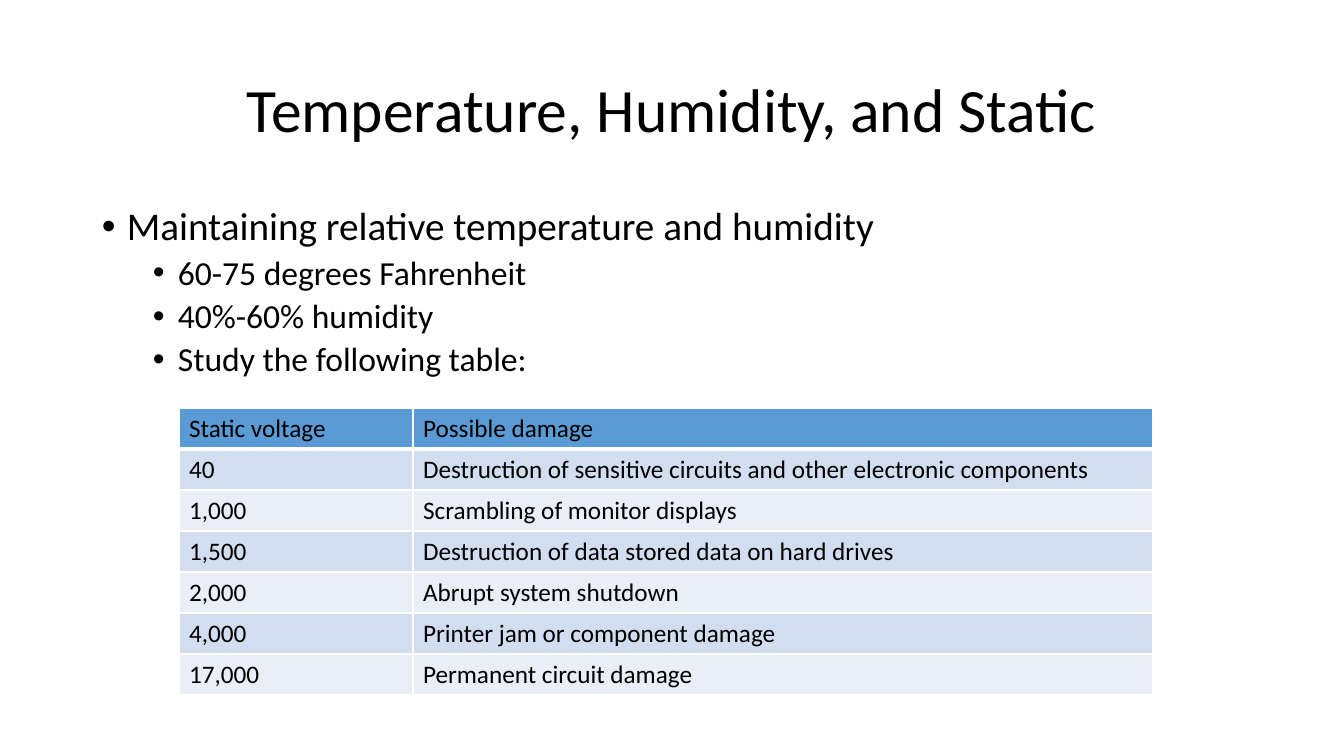
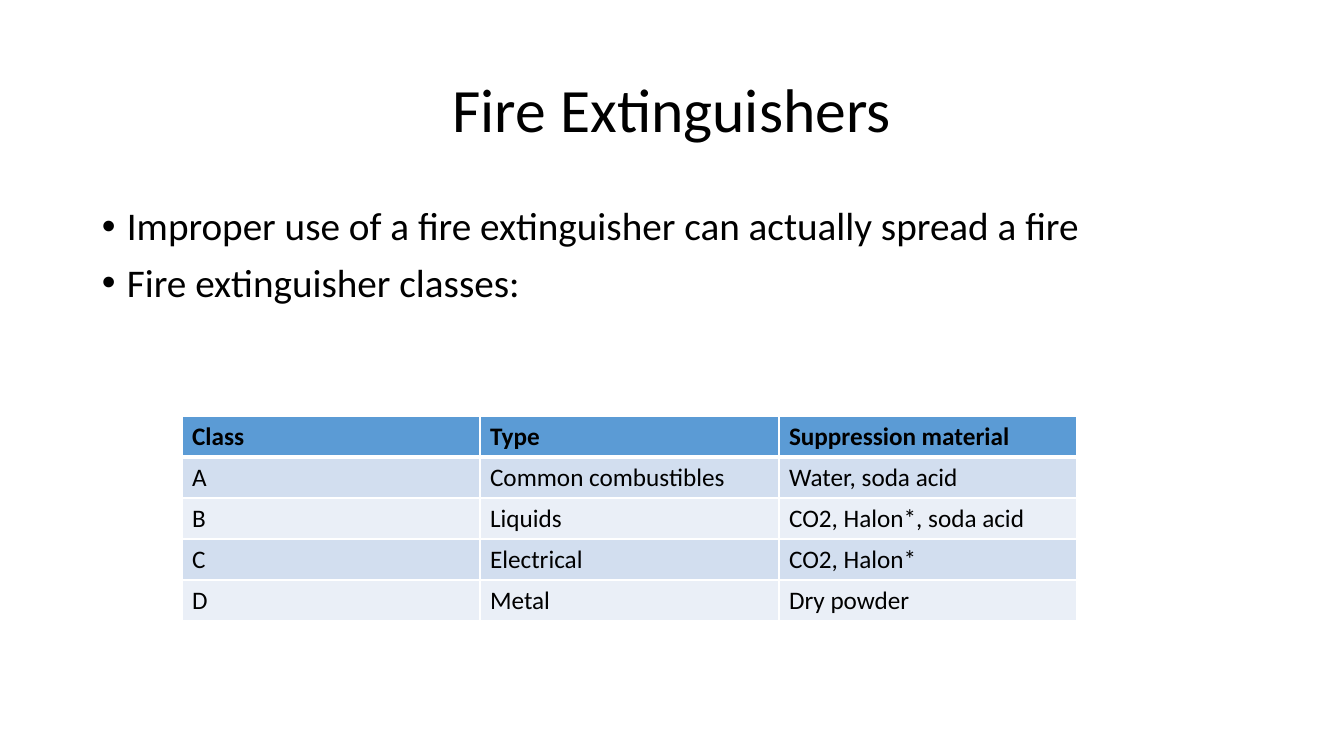
from dataclasses import dataclass

from lxml.etree import SubElement
from pptx import Presentation
from pptx.dml.color import RGBColor as Color
from pptx.enum.text import MSO_ANCHOR as Anchor, PP_ALIGN as Align
from pptx.oxml.ns import qn
from pptx.util import Pt


@dataclass(frozen=True)
class Theme:
    font: str = "Calibri"
    text: Color = Color.from_string("000000")
    header: Color = Color.from_string("5B9BD5")
    bands: tuple = (Color.from_string("D2DEEF"), Color.from_string("EAEFF7"))
    border: str = "FFFFFF"
    title_size: int = 44
    body_sizes: tuple = (28, 24)
    table_size: int = 18


THEME = Theme()
PX = 914400 / 100.8
SLIDE_SIZE = (1344, 756)
TITLE_BOX = (92, 40, 1160, 146)
BODY_BOX = (92, 202, 1160, 480)
ROW_HEIGHT = 41
INDENTS = (25, 76)
HANGING = 25
SPACE_BEFORE = (10, 5)

# Each bullet is (level, text)
SLIDES = [
    {
        "title": "Temperature, Humidity, and Static",
        "bullets": [
            (0, "Maintaining relative temperature and humidity"),
            (1, "60-75 degrees Fahrenheit"),
            (1, "40%-60% humidity"),
            (1, "Study the following table:"),
        ],
        "table_at": (179, 408),
        "columns": (234, 740),
        "bold_header": False,
        "rows": [
            ("Static voltage", "Possible damage"),
            ("40", "Destruction of sensitive circuits and other electronic components"),
            ("1,000", "Scrambling of monitor displays"),
            ("1,500", "Destruction of data stored data on hard drives"),
            ("2,000", "Abrupt system shutdown"),
            ("4,000", "Printer jam or component damage"),
            ("17,000", "Permanent circuit damage"),
        ],
    },
    {
        "title": "Fire Extinguishers",
        "bullets": [
            (0, "Improper use of a fire extinguisher can actually spread a fire"),
            (0, "Fire extinguisher classes:"),
        ],
        "table_at": (182, 416),
        "columns": (298, 299, 298),
        "bold_header": True,
        "rows": [
            ("Class", "Type", "Suppression material"),
            ("A", "Common combustibles", "Water, soda acid"),
            ("B", "Liquids", "CO2, Halon*, soda acid"),
            ("C", "Electrical", "CO2, Halon*"),
            ("D", "Metal", "Dry powder"),
        ],
    },
]


def emu(*lengths):
    return [round(length * PX) for length in lengths]


def write(paragraph, text, size, bold=False, **layout):
    for name, value in layout.items():
        setattr(paragraph, name, value)
    run = paragraph.add_run()
    run.text = text
    for name, value in {"name": THEME.font, "size": Pt(size), "bold": bold}.items():
        setattr(run.font, name, value)
    run.font.color.rgb = THEME.text


presentation = Presentation()
presentation.slide_width, presentation.slide_height = emu(*SLIDE_SIZE)

for content in SLIDES:
    slide = presentation.slides.add_slide(presentation.slide_layouts[6])

    # Title
    frame = slide.shapes.add_textbox(*emu(*TITLE_BOX)).text_frame
    frame.word_wrap = True
    frame.vertical_anchor = Anchor.MIDDLE
    write(frame.paragraphs[0], content["title"], THEME.title_size,
          alignment=Align.CENTER, line_spacing=0.9)

    # Bullets
    frame = slide.shapes.add_textbox(*emu(*BODY_BOX)).text_frame
    frame.word_wrap = True
    for index, (level, text) in enumerate(content["bullets"]):
        paragraph = frame.add_paragraph() if index else frame.paragraphs[0]
        properties = paragraph._p.get_or_add_pPr()
        margin, hanging = emu(INDENTS[level], HANGING)
        properties.set("marL", str(margin))
        properties.set("indent", str(-hanging))
        SubElement(properties, qn("a:buFont"), typeface="Arial")
        SubElement(properties, qn("a:buChar"), char="•")
        write(paragraph, text, THEME.body_sizes[level], level=level, line_spacing=0.9,
              space_before=Pt(SPACE_BEFORE[level] if index else 0))

    # Table
    rows, columns = content["rows"], content["columns"]
    size = (sum(columns), ROW_HEIGHT * len(rows))
    table = slide.shapes.add_table(
        len(rows), len(columns), *emu(*content["table_at"], *size)).table
    for column, width in zip(table.columns, emu(*columns)):
        column.width = width
    for row_index, texts in enumerate(rows):
        is_header = row_index == 0
        table.rows[row_index].height = emu(ROW_HEIGHT)[0]
        for column_index, text in enumerate(texts):
            cell = table.cell(row_index, column_index)
            write(cell.text_frame.paragraphs[0], text, THEME.table_size,
                  bold=is_header and content["bold_header"])

            # Borders come before the fill; the header has a heavy rule below
            properties = cell._tc.get_or_add_tcPr()
            widths = {"lnL": 1, "lnR": 1, "lnT": 3 if row_index == 1 else 1,
                      "lnB": 3 if is_header else 1}
            for side, width in widths.items():
                line = SubElement(properties, qn(f"a:{side}"), w=str(Pt(width)))
                line_fill = SubElement(line, qn("a:solidFill"))
                SubElement(line_fill, qn("a:srgbClr"), val=THEME.border)
            cell.fill.solid()
            cell.fill.fore_color.rgb = (
                THEME.header if is_header else THEME.bands[(row_index - 1) % 2])

presentation.save("out.pptx")
